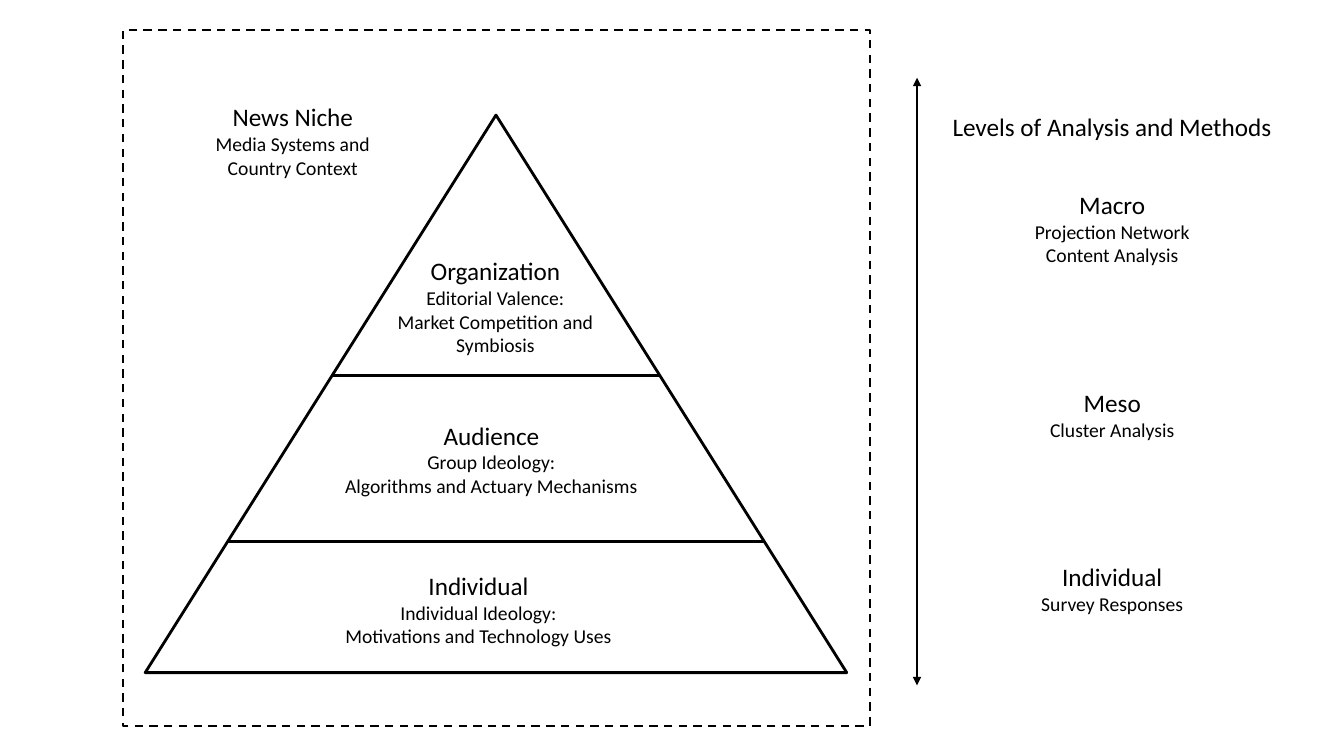
from dataclasses import dataclass

from lxml.etree import SubElement
from pptx import Presentation
from pptx.dml.color import RGBColor
from pptx.enum.dml import MSO_LINE_DASH_STYLE as Dash
from pptx.enum.shapes import MSO_CONNECTOR as Connector, MSO_SHAPE as Preset
from pptx.enum.text import MSO_ANCHOR as Anchor, MSO_AUTO_SIZE as AutoSize, PP_ALIGN as Align
from pptx.oxml.ns import qn
from pptx.shapes.autoshape import Shape
from pptx.shapes.connector import Connector as ConnectorShape
from pptx.slide import Slide
from pptx.text.text import _Paragraph as Paragraph
from pptx.util import Cm, Pt

COLOURS = {"ink": "000000", "paper": "FFFFFF"}
FONT = "Calibri"
HEADING_SIZE, DETAIL_SIZE = 18, 14
LEVEL_GAP = 86  # points between the levels of analysis


@dataclass(frozen=True)
class Box:
    left: float
    top: float
    width: float
    height: float

    def lengths(self) -> tuple[Cm, Cm, Cm, Cm]:
        return Cm(self.left), Cm(self.top), Cm(self.width), Cm(self.height)


@dataclass(frozen=True)
class Topic:
    heading: str
    details: tuple[str, ...]


@dataclass(frozen=True)
class Label:
    box: Box
    topics: tuple[Topic, ...]


FRAME = Box(3.1, 0.76, 18.82, 17.53)
PYRAMID = Box(3.66, 2.9, 17.68, 14.05)
DIVIDER_TOPS = (9.47, 13.64)
AXIS_LEFT, AXIS_TOP, AXIS_BOTTOM = 23.11, 1.96, 17.27
TITLE = Box(23.75, 2.67, 8.64, 1.02)

LABELS = (
    Label(Box(3.1, 2.44, 8.56, 2.24), (
        Topic("News Niche", ("Media Systems and", "Country Context")),)),
    Label(Box(8.23, 6.32, 8.51, 2.82), (
        Topic("Organization",
              ("Editorial Valence:", "Market Competition and", "Symbiosis")),)),
    Label(Box(8.13, 10.46, 8.51, 2.24), (
        Topic("Audience",
              ("Group Ideology:", "Algorithms and Actuary Mechanisms")),)),
    Label(Box(7.21, 14.25, 9.7, 3), (
        Topic("Individual",
              ("Individual Ideology:", "Motivations and Technology Uses")),)),
    Label(Box(23.75, 4.65, 8.56, 11.13), (
        Topic("Macro", ("Projection Network", "Content Analysis")),
        Topic("Meso", ("Cluster Analysis",)),
        Topic("Individual", ("Survey Responses",)))),
)


def colour(name: str) -> RGBColor:
    return RGBColor.from_string(COLOURS[name])


def write_paragraph(paragraph: Paragraph, text: str, size: int, align: Align) -> None:
    paragraph.text = text
    paragraph.alignment = align
    for run in paragraph.runs:
        run.font.name = FONT
        run.font.size = Pt(size)
        run.font.color.rgb = colour("ink")


def add_outline(slide: Slide, preset: Preset, box: Box, line_width: float) -> Shape:
    shape = slide.shapes.add_shape(preset, *box.lengths())
    shape.shadow.inherit = False
    shape.line.color.rgb = colour("ink")
    shape.line.width = Pt(line_width)
    return shape


def add_line(slide: Slide, start: tuple[float, float],
             end: tuple[float, float]) -> ConnectorShape:
    line = slide.shapes.add_connector(
        Connector.STRAIGHT, *(Cm(value) for value in start + end))
    line.line.color.rgb = colour("ink")
    line.line.width = Pt(2)
    SubElement(line._element.spPr, qn("a:effectLst"))
    return line


def add_divider(slide: Slide, top: float) -> None:
    """Span the pyramid from side to side at the given height."""
    centre = PYRAMID.left + PYRAMID.width / 2
    half_width = PYRAMID.width / 2 * (top - PYRAMID.top) / PYRAMID.height
    add_line(slide, (centre - half_width, top), (centre + half_width, top))


def add_label(slide: Slide, label: Label) -> None:
    text_frame = slide.shapes.add_textbox(*label.box.lengths()).text_frame
    text_frame.word_wrap = True
    for index, topic in enumerate(label.topics):
        heading = text_frame.add_paragraph() if index else text_frame.paragraphs[0]
        write_paragraph(heading, topic.heading, HEADING_SIZE, Align.CENTER)
        if index:
            heading.space_before = Pt(LEVEL_GAP)
        for detail in topic.details:
            write_paragraph(text_frame.add_paragraph(), detail, DETAIL_SIZE, Align.CENTER)


def set_title(slide: Slide, text: str, box: Box) -> None:
    title = slide.shapes.title
    title.left, title.top, title.width, title.height = box.lengths()
    text_frame = title.text_frame
    text_frame.word_wrap = False
    text_frame.auto_size = AutoSize.NONE
    text_frame.vertical_anchor = Anchor.TOP
    write_paragraph(text_frame.paragraphs[0], text, HEADING_SIZE, Align.LEFT)


def main() -> None:
    presentation = Presentation()
    presentation.slide_width, presentation.slide_height = Cm(33.87), Cm(19.05)
    slide = presentation.slides.add_slide(presentation.slide_layouts[5])
    set_title(slide, "Levels of Analysis and Methods", TITLE)

    # Pyramid with its dividers
    pyramid = add_outline(slide, Preset.ISOSCELES_TRIANGLE, PYRAMID, 2)
    pyramid.fill.solid()
    pyramid.fill.fore_color.rgb = colour("paper")
    for top in DIVIDER_TOPS:
        add_divider(slide, top)

    # Dashed context frame
    frame = add_outline(slide, Preset.RECTANGLE, FRAME, 1.5)
    frame.fill.background()
    frame.line.dash_style = Dash.DASH

    # Double-headed axis of levels
    axis = add_line(slide, (AXIS_LEFT, AXIS_TOP), (AXIS_LEFT, AXIS_BOTTOM))
    for end in ("a:headEnd", "a:tailEnd"):
        SubElement(axis.line._get_or_add_ln(), qn(end), type="triangle")

    # Text
    for label in LABELS:
        add_label(slide, label)

    presentation.save("out.pptx")


if __name__ == "__main__":
    main()
